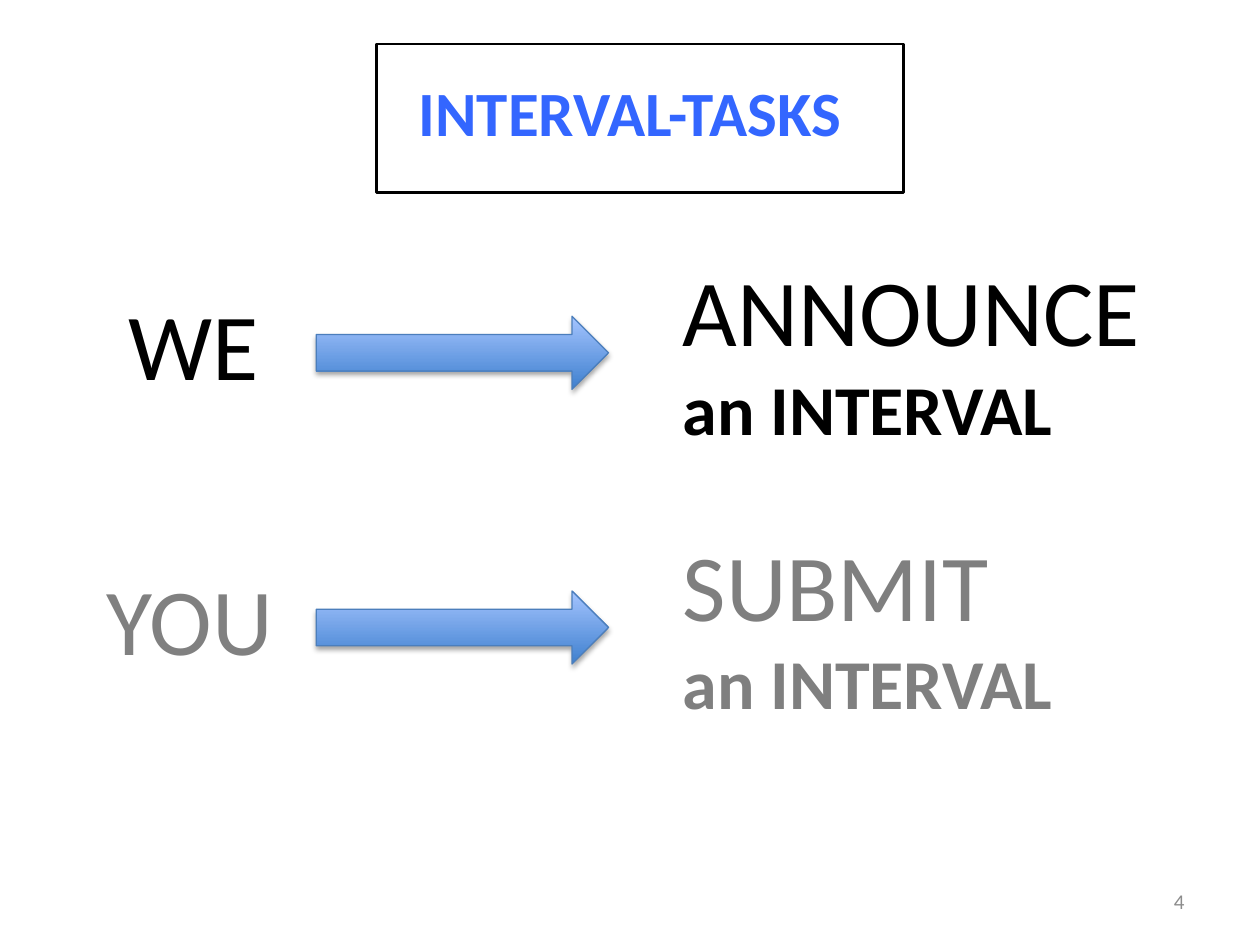
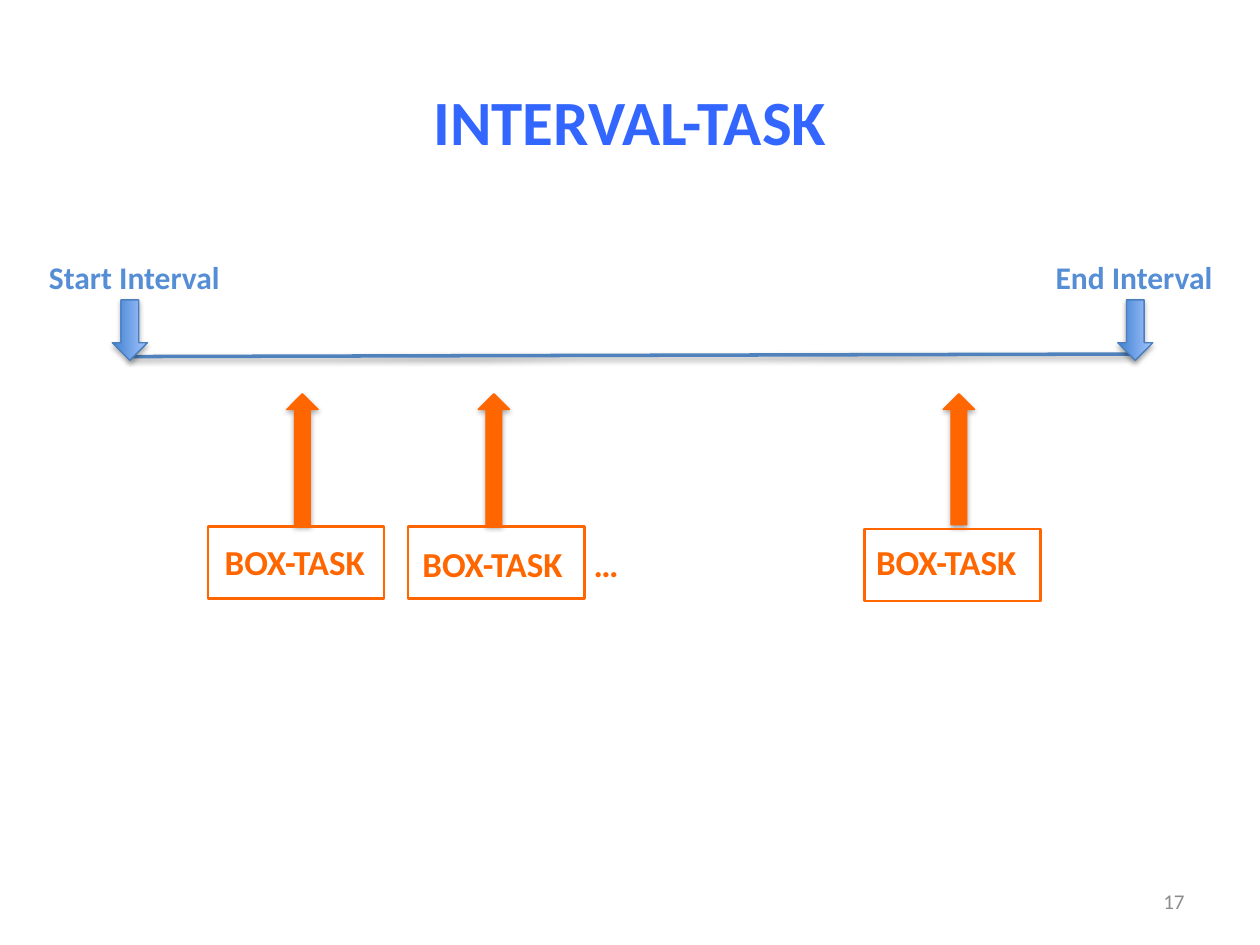
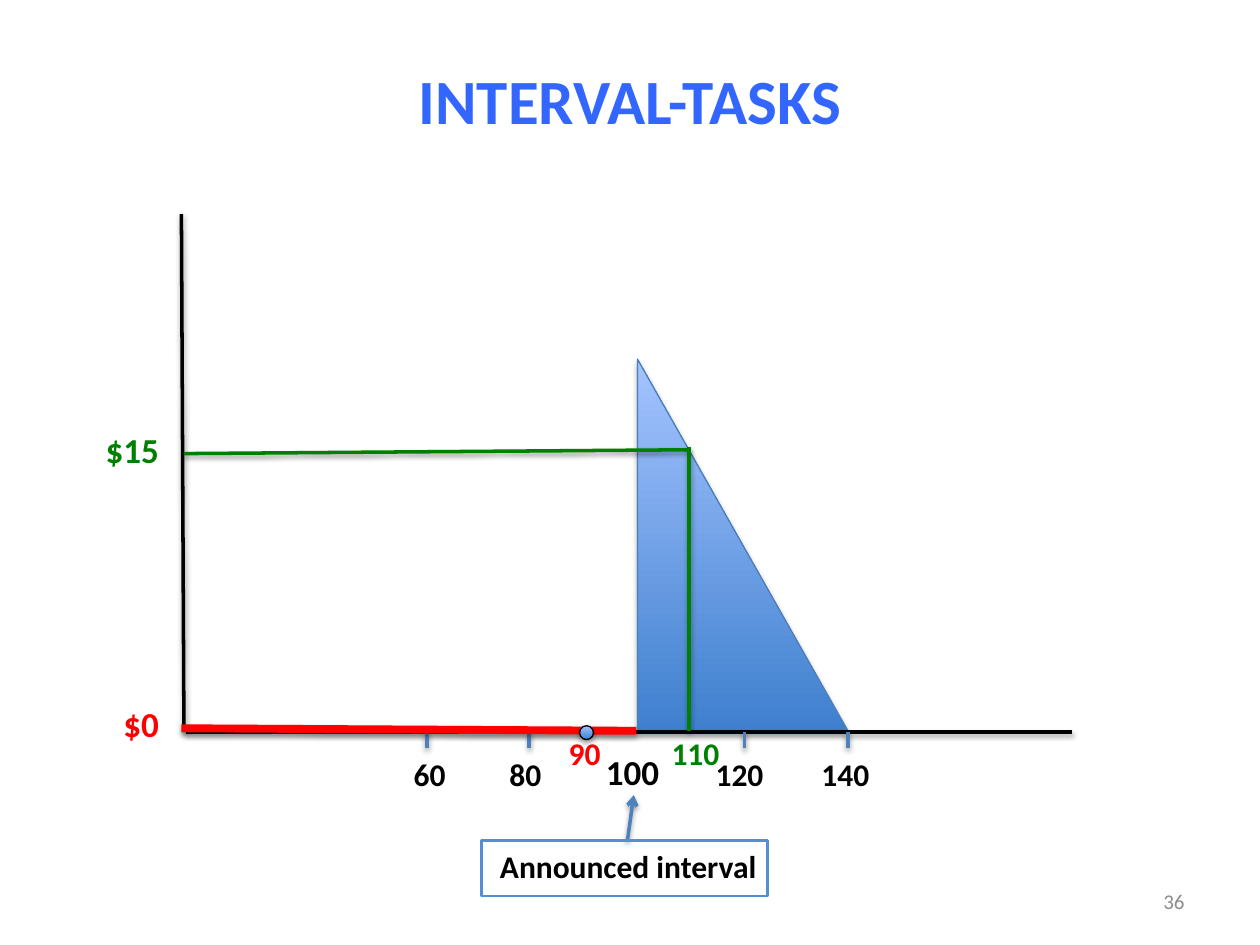
"""Build three slides that explain the interval tasks."""
from dataclasses import dataclass

from lxml import etree
from pptx import Presentation
from pptx.dml.color import RGBColor
from pptx.enum.shapes import MSO_CONNECTOR, MSO_SHAPE
from pptx.enum.text import MSO_ANCHOR, PP_ALIGN
from pptx.oxml.ns import qn
from pptx.util import Inches, Pt

RIGHT_ARROW = MSO_SHAPE.RIGHT_ARROW
RECTANGLE = MSO_SHAPE.RECTANGLE
RIGHT_TRIANGLE = MSO_SHAPE.RIGHT_TRIANGLE
OVAL = MSO_SHAPE.OVAL
STRAIGHT = MSO_CONNECTOR.STRAIGHT
LEFT, CENTER, RIGHT = PP_ALIGN.LEFT, PP_ALIGN.CENTER, PP_ALIGN.RIGHT
TOP, MIDDLE = MSO_ANCHOR.TOP, MSO_ANCHOR.MIDDLE

FONT = "Calibri"
BLACK = "000000"
TITLE_BLUE = "3366FF"
LABEL_BLUE = "558ED5"
LINE_BLUE = "4F81BD"
EDGE_BLUE = "4B7EBC"
GRADIENT = ("3F80CE", "A4C4FF")
ORANGE = "FF6600"
GREEN = "008000"
RED = "FF0000"
NUMBER_GRAY = "8C8C8C"


@dataclass
class Run:
    """A stretch of text in one style."""

    text: str
    size: float
    color: str = BLACK
    bold: bool = True


@dataclass
class Box:
    """A place on the slide, in inches."""

    left: float
    top: float
    width: float
    height: float

    def lengths(self) -> tuple:
        """Return the four lengths that python-pptx expects."""
        return tuple(Inches(value) for value in (self.left, self.top, self.width, self.height))


@dataclass
class Actor:
    """Someone who acts on an interval."""

    name: str
    name_left: float
    name_color: str
    action: str
    action_color: str


@dataclass
class BoxTask:
    """A framed task, its label and its arrow."""

    frame_left: float
    frame_top: float
    label_center: float
    label_top: float
    arrow_left: float


@dataclass
class Segment:
    """A straight line between two points, in inches."""

    start: tuple[float, float]
    end: tuple[float, float]
    color: str = LINE_BLUE
    width: float = 2
    arrow: bool = False


@dataclass
class AxisLabel:
    """A value centred below the horizontal axis."""

    text: str
    center: float
    top: float = 5.94
    size: float = 18
    color: str = BLACK


def rgb(color: str) -> RGBColor:
    """Turn a hex string into a colour."""
    return RGBColor.from_string(color)


def add_shadow(shape, opacity: int, distance: float) -> None:
    """Give a shape or connector a soft shadow below it."""
    effects = etree.SubElement(shape.element.spPr, qn("a:effectLst"))
    shadow = etree.SubElement(effects, qn("a:outerShdw"), blurRad=str(Pt(3.1)),
                              dist=str(Pt(distance)), dir="5400000", rotWithShape="0")
    color = etree.SubElement(shadow, qn("a:srgbClr"), val=BLACK)
    etree.SubElement(color, qn("a:alpha"), val=str(opacity * 1000))


def add_text(slide, box: Box, lines: list[list[Run]], align=LEFT, anchor=TOP) -> None:
    """Add a text box with one paragraph for each list of runs."""
    frame = slide.shapes.add_textbox(*box.lengths()).text_frame
    frame.word_wrap = True
    frame.vertical_anchor = anchor
    for index, line in enumerate(lines):
        paragraph = frame.paragraphs[0] if index == 0 else frame.add_paragraph()
        paragraph.alignment = align
        for item in line:
            run = paragraph.add_run()
            run.text = item.text
            run.font.name = FONT
            run.font.size = Pt(item.size)
            run.font.bold = item.bold
            run.font.color.rgb = rgb(item.color)


def add_solid(slide, kind, box: Box, fill: str | None = None, line: str = EDGE_BLUE,
              rotation: float = 0) -> None:
    """Add a shadowed shape with a plain fill or the blue gradient."""
    shape = slide.shapes.add_shape(kind, *box.lengths())
    shape.rotation = rotation
    if fill:
        shape.fill.solid()
        shape.fill.fore_color.rgb = rgb(fill)
    else:
        shape.fill.gradient()
        shape.fill.gradient_angle = 90
        for stop, color, position in zip(shape.fill.gradient_stops, GRADIENT, (0, 1)):
            stop.color.rgb = rgb(color)
            stop.position = position
    shape.line.color.rgb = rgb(line)
    shape.line.width = Pt(0.75)
    add_shadow(shape, 35, 1.8)


def add_frame(slide, box: Box, color: str) -> None:
    """Add an unfilled rectangle."""
    shape = slide.shapes.add_shape(RECTANGLE, *box.lengths())
    shape.fill.background()
    shape.line.color.rgb = rgb(color)
    shape.line.width = Pt(1.45)
    shape.shadow.inherit = False


def add_segment(slide, segment: Segment) -> None:
    """Add a shadowed line, with an arrowhead at its end if asked for."""
    points = [Inches(value) for value in segment.start + segment.end]
    connector = slide.shapes.add_connector(STRAIGHT, *points)
    connector.line.color.rgb = rgb(segment.color)
    connector.line.width = Pt(segment.width)
    if segment.arrow:
        etree.SubElement(connector.element.spPr.find(qn("a:ln")), qn("a:tailEnd"), type="arrow")
    add_shadow(connector, 38, 1.6)


def add_slide(presentation, title: str, title_top: float, number: int):
    """Add a blank slide with its title and page number."""
    slide = presentation.slides.add_slide(presentation.slide_layouts[6])
    add_text(slide, Box(0.75, title_top, 8.5, 1.61), [[Run(title, 36, TITLE_BLUE)]],
             CENTER, MIDDLE)
    add_text(slide, Box(7.17, 6.95, 2.33, 0.4),
             [[Run(str(number), 12, NUMBER_GRAY, False)]], RIGHT, MIDDLE)
    return slide


def build_actors(presentation) -> None:
    """Show who announces and who submits an interval."""
    slide = add_slide(presentation, "INTERVAL-TASKS", 0.08, 4)
    add_frame(slide, Box(2.99, 0.35, 4.18, 1.18), BLACK)
    actors = [
        Actor("WE", 0.92, BLACK, "ANNOUNCE", BLACK),
        Actor("YOU", 0.75, "808080", "SUBMIT", "7F7F7F"),
    ]
    for row, actor in enumerate(actors):
        offset = row * 2.18
        add_solid(slide, RIGHT_ARROW, Box(2.51, 2.51 + offset, 2.32, 0.58))
        add_text(slide, Box(actor.name_left, 2.22 + offset, 1.64, 1.01),
                 [[Run(actor.name, 54, actor.name_color, False)]])
        add_text(slide, Box(5.32, 1.95 + offset, 4.53, 1.68),
                 [[Run(actor.action, 54, actor.action_color, False)],
                  [Run("an INTERVAL", 40, actor.action_color)]])


def build_timeline(presentation) -> None:
    """Show the box tasks along the interval."""
    slide = add_slide(presentation, "INTERVAL-TASK", 0.15, 17)
    add_segment(slide, Segment((1.03, 2.83), (9.01, 2.81)))
    for text, label_left, width, arrow_left in (
        ("Start Interval", 0.29, 1.87, 0.79),
        ("End Interval", 8.28, 1.54, 8.77),
    ):
        add_text(slide, Box(label_left, 2, width, 0.48), [[Run(text, 18, LABEL_BLUE)]])
        add_solid(slide, RIGHT_ARROW, Box(arrow_left, 2.48, 0.48, 0.28), rotation=90)
    tasks = [
        BoxTask(1.65, 4.18, 2.34, 4.17, 1.88),
        BoxTask(3.24, 4.18, 3.91, 4.19, 3.4),
        BoxTask(6.86, 4.2, 7.51, 4.17, 7.09),
    ]
    for task in tasks:
        add_text(slide, Box(task.label_center - 0.8, task.label_top, 1.6, 0.57),
                 [[Run("BOX-TASK", 20, ORANGE)]], CENTER, MIDDLE)
        add_solid(slide, RIGHT_ARROW, Box(task.arrow_left, 3.52, 1.04, 0.25),
                  ORANGE, ORANGE, 270)
        add_frame(slide, Box(task.frame_left, task.frame_top, 1.4, 0.57), ORANGE)
    add_text(slide, Box(4.56, 4.19, 0.5, 0.57), [[Run("…", 20, ORANGE)]], CENTER, MIDDLE)


def build_payoff(presentation) -> None:
    """Show the payoff above the announced interval."""
    slide = add_slide(presentation, "INTERVAL-TASKS", -0.02, 36)
    axis = 5.81
    add_solid(slide, RIGHT_TRIANGLE, Box(5.06, 2.85, 1.67, 2.95))
    segments = [
        Segment((1.44, 1.7), (1.46, axis), BLACK),
        Segment((1.48, axis), (8.51, axis), BLACK),
        Segment((4.98, 6.67), (5.03, 6.31), arrow=True),
        *(Segment((tick, axis), (tick, axis + 0.13)) for tick in (3.39, 4.2, 5.91, 6.73)),
        Segment((5.05, 5.8), (1.44, 5.78), RED, 4.5),
        Segment((5.47, 3.57), (1.46, 3.6), GREEN),
        Segment((5.47, 3.55), (5.47, 5.8), GREEN),
    ]
    for segment in segments:
        add_segment(slide, segment)
    labels = [
        AxisLabel("60", 3.41),
        AxisLabel("80", 4.17),
        AxisLabel("100", 5.02, 5.91, 20),
        AxisLabel("120", 5.87),
        AxisLabel("140", 6.71),
        AxisLabel("90", 4.64, 5.78, color=RED),
        AxisLabel("110", 5.52, 5.78, color=GREEN),
    ]
    for label in labels:
        add_text(slide, Box(label.center - 0.4, label.top, 0.8, 0.4),
                 [[Run(label.text, label.size, label.color)]], CENTER)
    for text, top, color in (("$15", 3.35, GREEN), ("$0", 5.53, RED)):
        add_text(slide, Box(0.56, top, 0.8, 0.44), [[Run(text, 20, color)]], RIGHT)
    add_frame(slide, Box(3.82, 6.67, 2.27, 0.44), LABEL_BLUE)
    add_text(slide, Box(3.87, 6.67, 2.3, 0.4), [[Run("Announced interval", 18)]])
    add_solid(slide, OVAL, Box(4.6, 5.76, 0.11, 0.11), line=BLACK)


def main() -> None:
    """Build and save the presentation."""
    presentation = Presentation()
    presentation.slide_width = Inches(10)
    presentation.slide_height = Inches(7.5)
    build_actors(presentation)
    build_timeline(presentation)
    build_payoff(presentation)
    presentation.save("out.pptx")


main()
